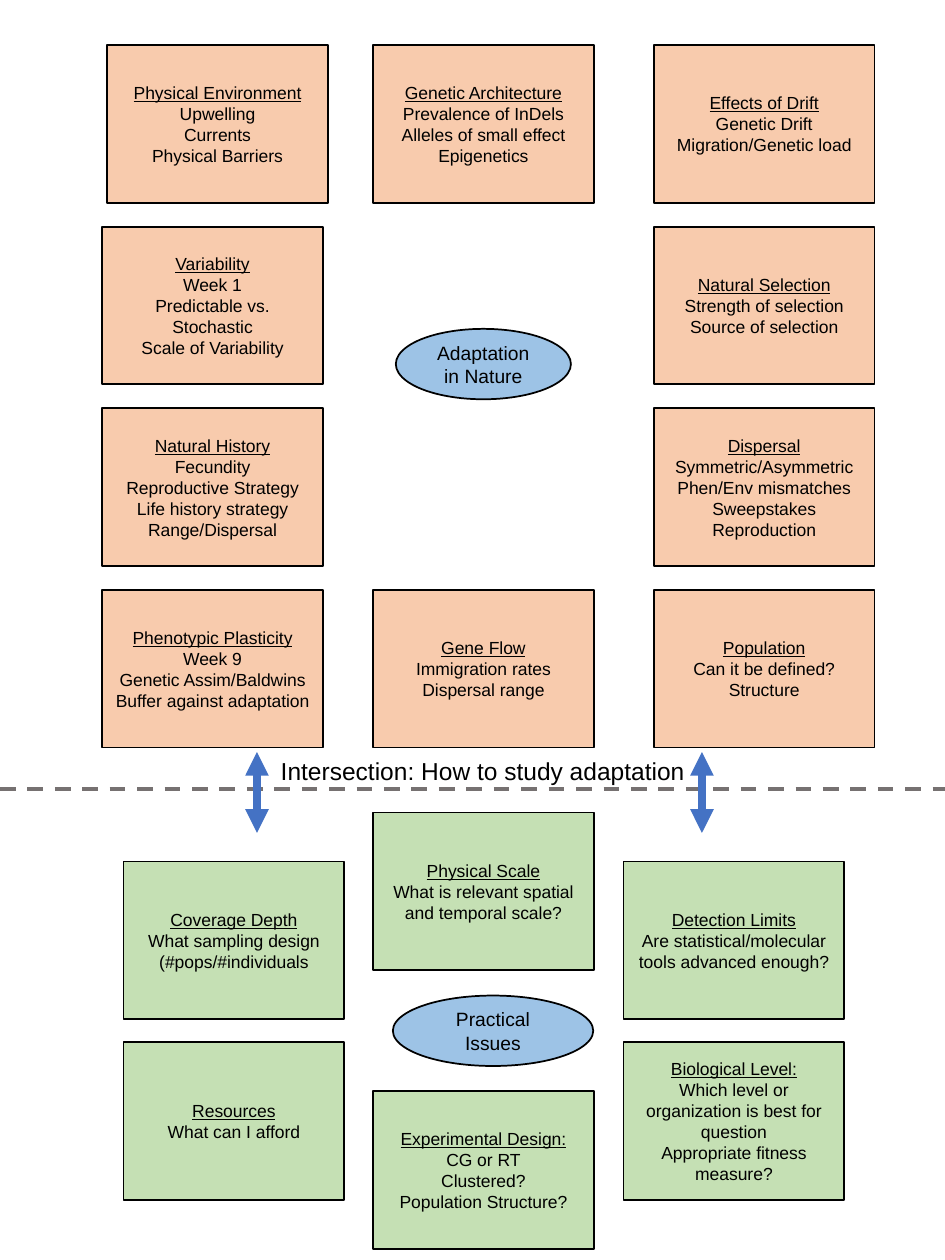
"""Build a one-slide map of the factors in adaptation and how to study them."""
from lxml import etree
from pptx import Presentation
from pptx.dml.color import RGBColor
from pptx.enum.dml import MSO_LINE
from pptx.enum.shapes import MSO_CONNECTOR, MSO_SHAPE
from pptx.enum.text import MSO_ANCHOR, PP_ALIGN
from pptx.oxml.ns import qn
from pptx.util import Cm, Pt

RECTANGLE, ELLIPSE = MSO_SHAPE.RECTANGLE, MSO_SHAPE.OVAL
STRAIGHT, DASH = MSO_CONNECTOR.STRAIGHT, MSO_LINE.DASH
MIDDLE, CENTER, LEFT = MSO_ANCHOR.MIDDLE, PP_ALIGN.CENTER, PP_ALIGN.LEFT

BLACK, BLUE, GREEN, ORANGE = "000000", "9DC3E6", "C5E0B4", "F8CBAD"
ARROW_BLUE, GRAY = "4472C4", "767171"
BOX_WIDTH, BOX_HEIGHT = 4.45, 3.18
MIDDLE_COLUMN, RIGHT_COLUMN = 7.52, 13.18
TOP, ROW_STEP = 0.91, 3.66


def color(hex_string):
    return RGBColor.from_string(hex_string)


def write(text_frame, lines, size=10, align=CENTER, underline_first=False):
    for index, line in enumerate(lines):
        paragraph = text_frame.paragraphs[0] if index == 0 else text_frame.add_paragraph()
        paragraph.alignment = align
        run = paragraph.add_run()
        run.text = line
        run.font.name = "Arial"
        run.font.size = Pt(size)
        run.font.color.rgb = color(BLACK)
        run.font.underline = underline_first and index == 0


presentation = Presentation()
presentation.slide_width, presentation.slide_height = Cm(19.05), Cm(25.4)
slide = presentation.slides.add_slide(presentation.slide_layouts[6])

nature_boxes = [
    (2.16, 0, ["Physical Environment", "Upwelling", "Currents", "Physical Barriers"]),
    (MIDDLE_COLUMN, 0, ["Genetic Architecture", "Prevalence of InDels",
                        "Alleles of small effect", "Epigenetics"]),
    (RIGHT_COLUMN, 0, ["Effects of Drift", "Genetic Drift", "Migration/Genetic load"]),
    (2.06, 1, ["Variability", "Week 1", "Predictable vs. Stochastic", "Scale of Variability"]),
    (RIGHT_COLUMN, 1, ["Natural Selection", "Strength of selection", "Source of selection"]),
    (2.06, 2, ["Natural History", "Fecundity", "Reproductive Strategy",
               "Life history strategy", "Range/Dispersal"]),
    (RIGHT_COLUMN, 2, ["Dispersal", "Symmetric/Asymmetric", "Phen/Env mismatches",
                       "Sweepstakes Reproduction"]),
    (2.06, 3, ["Phenotypic Plasticity", "Week 9", "Genetic Assim/Baldwins",
               "Buffer against adaptation"]),
    (MIDDLE_COLUMN, 3, ["Gene Flow", "Immigration rates", "Dispersal range"]),
    (RIGHT_COLUMN, 3, ["Population", "Can it be defined?", "Structure"]),
]
practical_boxes = [
    (2.49, 17.37, ["Coverage Depth", "What sampling design (#pops/#individuals"]),
    (MIDDLE_COLUMN, 16.38, ["Physical Scale", "What is relevant spatial and temporal scale?"]),
    (12.57, 17.37, ["Detection Limits", "Are statistical/molecular tools advanced enough?"]),
    (2.49, 21.01, ["Resources", "What can I afford"]),
    (MIDDLE_COLUMN, 22, ["Experimental Design:", "CG or RT", "Clustered?",
                         "Population Structure?"]),
    (12.57, 21.01, ["Biological Level:", "Which level or organization is best for question",
                    "Appropriate fitness measure?"]),
]

nodes = [
    (ELLIPSE, 7.98, 6.63, 3.53, 1.42, BLUE, ["Adaptation in Nature"]),
    (ELLIPSE, 7.92, 20.07, 4.04, 1.42, BLUE, ["Practical Issues"]),
]
for left, row, lines in nature_boxes:
    nodes.append((RECTANGLE, left, TOP + row * ROW_STEP, BOX_WIDTH, BOX_HEIGHT, ORANGE, lines))
for left, top, lines in practical_boxes:
    nodes.append((RECTANGLE, left, top, BOX_WIDTH, BOX_HEIGHT, GREEN, lines))

for kind, left, top, width, height, fill, lines in nodes:
    shape = slide.shapes.add_shape(kind, Cm(left), Cm(top), Cm(width), Cm(height))
    shape.shadow.inherit = False
    shape.fill.solid()
    shape.fill.fore_color.rgb = color(fill)
    shape.line.color.rgb = color(BLACK)
    shape.line.width = Pt(1)
    shape.text_frame.word_wrap = True
    shape.text_frame.vertical_anchor = MIDDLE
    is_box = kind == RECTANGLE
    write(shape.text_frame, lines, size=10 if is_box else 11, underline_first=is_box)

connectors = [
    (0, 15.9, 19.05, 15.9, GRAY, 2.25, False),
    (5.18, 15.16, 5.18, 16.79, ARROW_BLUE, 4.5, True),
    (14.15, 15.16, 14.15, 16.79, ARROW_BLUE, 4.5, True),
]
for start_x, start_y, end_x, end_y, line_color, width, is_arrow in connectors:
    connector = slide.shapes.add_connector(
        STRAIGHT, Cm(start_x), Cm(start_y), Cm(end_x), Cm(end_y))
    connector.line.color.rgb = color(line_color)
    connector.line.width = Pt(width)
    if is_arrow:
        line = connector.line._get_or_add_ln()
        for end in ("a:headEnd", "a:tailEnd"):
            etree.SubElement(line, qn(end), type="triangle")
    else:
        connector.line.dash_style = DASH
    etree.SubElement(connector._element.spPr, qn("a:effectLst"))

label = slide.shapes.add_textbox(Cm(5.41), Cm(15.11), Cm(8.69), Cm(0.86))
label.text_frame.word_wrap = False
write(label.text_frame, ["Intersection: How to study adaptation"], size=14, align=LEFT)

presentation.save("out.pptx")
